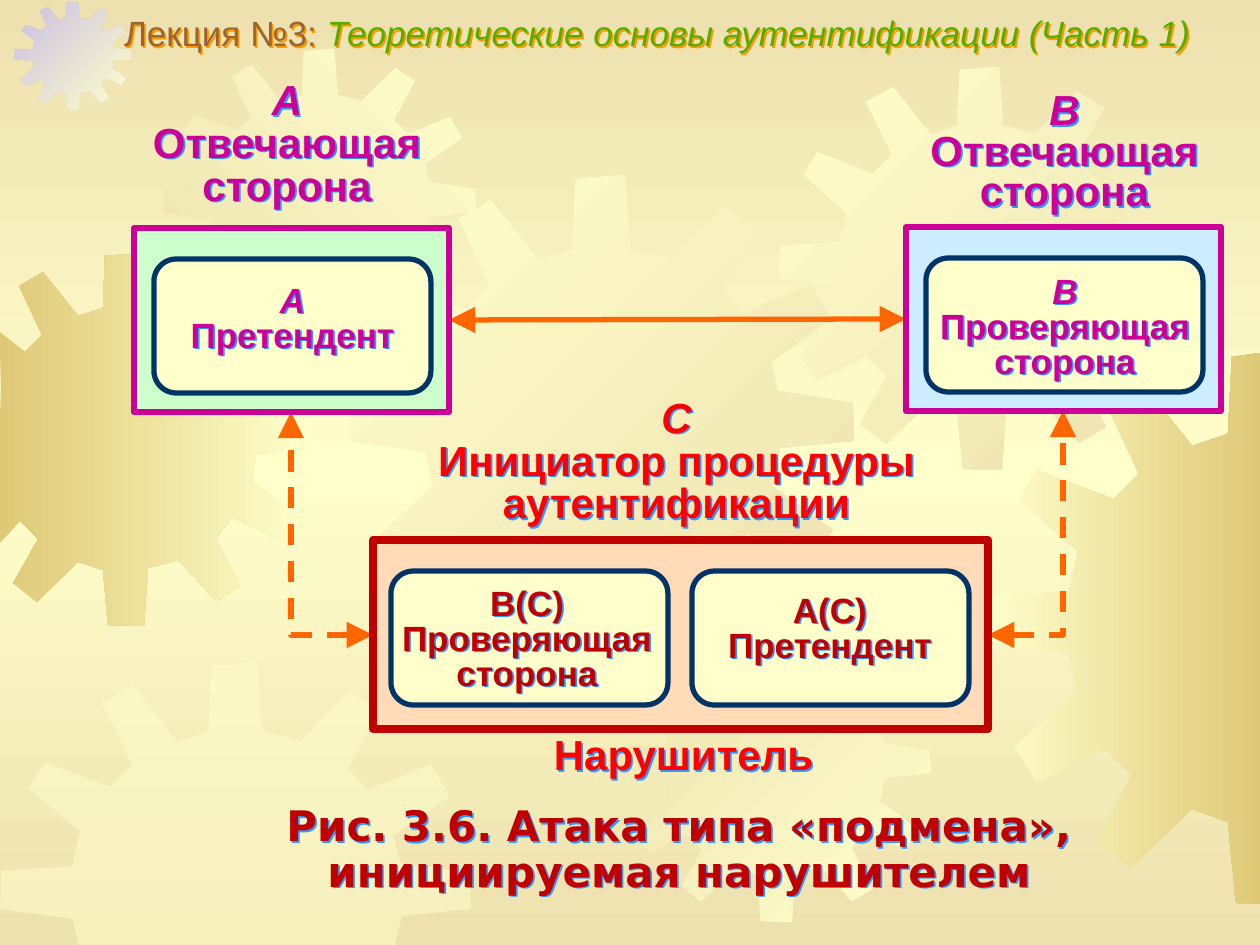
from copy import deepcopy

from lxml.etree import SubElement
from pptx import Presentation
from pptx.dml.color import RGBColor
from pptx.enum.dml import MSO_LINE
from pptx.enum.shapes import MSO_CONNECTOR, MSO_SHAPE
from pptx.enum.text import MSO_ANCHOR, MSO_AUTO_SIZE, PP_ALIGN
from pptx.oxml.ns import qn
from pptx.util import Emu, Pt

PX = 914400 / 126  # EMU in one px
WIDTH, HEIGHT = 1260, 945
COLORS = {
    "sand": "EDE1AF", "cream": "FFFFCC", "gold": "DFC977", "lilac": "CAC0E2",
    "magenta": "CC0099", "red": "FF0000", "crimson": "C00000", "navy": "003366",
    "orange": "FF6600", "mint": "CCFFCC", "sky": "CCECFF", "peach": "FFDBB7",
    "brown": "996633", "green": "56AC00", "blue shadow": "3399FF", "amber shadow": "FF9900",
}
RGB = {name: RGBColor.from_string(value) for name, value in COLORS.items()}


def px(*values):
    return [Emu(round(value * PX)) for value in values]


def write(box, paragraphs, spacing, anchor=MSO_ANCHOR.TOP, align=PP_ALIGN.CENTER,
          shadow="blue shadow"):
    """Fill a text box; each paragraph is a list of (text, font values)."""
    frame = box.text_frame
    settings = dict(word_wrap=True, auto_size=MSO_AUTO_SIZE.NONE, vertical_anchor=anchor,
                    margin_left=0, margin_top=0, margin_right=0, margin_bottom=0)
    for name, value in settings.items():
        setattr(frame, name, value)
    for number, spans in enumerate(paragraphs):
        para = frame.add_paragraph() if number else frame.paragraphs[0]
        para.alignment, para.line_spacing = align, spacing
        para.space_before = Pt(0)
        for text, values in spans:
            span = para.add_run()
            span.text = text
            for name, value in values.items():
                if name == "color":
                    span.font.color.rgb = RGB[value]
                else:
                    setattr(span.font, name, value)
    effects = SubElement(box.element.spPr, qn("a:effectLst"))
    outer = SubElement(effects, qn("a:outerShdw"), dist="17961", dir="2700000")
    SubElement(outer, qn("a:srgbClr"), val=COLORS[shadow])


deck = Presentation()
deck.slide_width, deck.slide_height = px(WIDTH, HEIGHT)
page = deck.slides.add_slide(deck.slide_layouts[5])

# Background: sand to cream and back, top to bottom
fill = page.background.fill
fill.gradient()
fill.gradient_angle = 270
stop_list = page.element.find(".//" + qn("a:gsLst"))
stop_list.append(deepcopy(stop_list[0]))
for stop, position, color in zip(fill.gradient_stops, (0, 0.5, 1), ("sand", "cream", "sand")):
    stop.position, stop.color.rgb = position, RGB[color]

# Gears: one outline on a 401 grid, scaled and held within the slide
GEAR_SIDE = 401
GEAR = [
    (255, 67), (223, 59), (219, 0), (180, 3), (177, 59), (151, 68), (113, 20), (87, 35),
    (112, 88), (94, 106), (38, 85), (25, 107), (68, 145), (61, 174), (1, 178), (0, 210),
    (61, 219), (67, 246), (22, 287), (38, 312), (88, 288), (107, 307), (81, 355), (106, 375),
    (151, 332), (177, 341), (183, 400), (222, 401), (226, 339), (259, 330), (299, 374),
    (325, 358), (299, 306), (316, 284), (368, 309), (384, 281), (336, 246), (342, 216),
    (401, 210), (400, 180), (341, 171), (335, 148), (383, 114), (367, 87), (313, 109),
    (296, 91), (323, 41), (297, 25),
]
gears = [  # left, top, width, height, first colour, last colour, clockwise angle
    (-62, 253, 373, 373, "gold", "cream", 0),
    (15, 2, 116, 108, "lilac", "cream", 45),
    (164, 49, 312, 312, "sand", "cream", 315),
    (349, 175, 505, 507, "cream", "sand", 45),
    (0, 662, 471, 471, "cream", None, 0),
    (619, 610, 312, 312, "sand", "cream", 45),
    (779, 67, 403, 403, "cream", "sand", 45),
    (985, 353, 551, 551, "cream", "gold", 0),
]
for left, top, width, height, first, last, angle in gears:
    points = [(min(max(round(left + x * width / GEAR_SIDE), 0), WIDTH),
               min(max(round(top + y * height / GEAR_SIDE), 0), HEIGHT)) for x, y in GEAR]
    builder = page.shapes.build_freeform(*points[0], scale=PX)
    builder.add_line_segments(points[1:], close=True)
    gear = builder.convert_to_shape()
    gear.shadow.inherit = False
    gear.line.fill.background()
    if last:
        gear.fill.gradient()
        gear.fill.gradient_angle = (360 - angle) % 360
        for stop, position, color in zip(gear.fill.gradient_stops, (0, 1), (first, last)):
            stop.position, stop.color.rgb = position, RGB[color]
    else:
        gear.fill.solid()
        gear.fill.fore_color.rgb = RGB[first]
        tint = gear.element.spPr.find(".//" + qn("a:srgbClr"))
        SubElement(tint, qn("a:alpha"), val="50000")

# Title, in front of the gears
title = page.shapes.title
title.element.getparent().append(title.element)
title.left, title.top, title.width, title.height = px(124, 16, 1136, 39)
heading = dict(name="Arial", size=Pt(20), bold=False)
write(title, [[("Лекция №3: ", dict(heading, color="brown")),
               ("Теоретические основы аутентификации (Часть 1)",
                dict(heading, color="green", italic=True))]],
      0.9, MSO_ANCHOR.MIDDLE, PP_ALIGN.LEFT, "amber shadow")

# Arrows between the parties
arrows = [  # from, to, bent and dashed
    (449, 320, 906, 319, False),
    (988, 635, 1063, 411, True),
    (373, 635, 291, 412, True),
]
for *ends, bent in arrows:
    arrow = page.shapes.add_connector(MSO_CONNECTOR.STRAIGHT, *px(*ends))
    arrow.line.color.rgb = RGB["orange"]
    arrow.line.width = Pt(3)
    if bent:
        arrow.element.spPr.find(qn("a:prstGeom")).set("prst", "bentConnector2")
        arrow.line.dash_style = MSO_LINE.DASH
    for end in ("a:headEnd", "a:tailEnd"):
        SubElement(arrow.line._get_or_add_ln(), qn(end), type="triangle", w="lg", len="lg")
    SubElement(arrow.element.spPr, qn("a:effectLst"))

# Party frames, then the role cards inside them
frames = [
    (MSO_SHAPE.RECTANGLE, 134, 228, 315, 184, "mint", "magenta", 3.25),
    (MSO_SHAPE.RECTANGLE, 906, 227, 315, 184, "sky", "magenta", 3.25),
    (MSO_SHAPE.RECTANGLE, 373, 540, 615, 189, "peach", "crimson", 4.5),
]
cards = [(MSO_SHAPE.ROUNDED_RECTANGLE, left, top, 277, 134, "cream", "navy", 3)
         for left, top in ((154, 259), (926, 258), (391, 571), (692, 571))]
for kind, left, top, width, height, inside, border, weight in frames + cards:
    panel = page.shapes.add_shape(kind, *px(left, top, width, height))
    panel.shadow.inherit = False
    panel.fill.solid()
    panel.fill.fore_color.rgb = RGB[inside]
    panel.line.color.rgb = RGB[border]
    panel.line.width = Pt(weight)

# Labels: place, size, colour, line spacing, anchor, italic letter, text
top_anchor, middle = MSO_ANCHOR.TOP, MSO_ANCHOR.MIDDLE
labels = [
    ((127, 81, 320, 130), 24, "magenta", 0.85, top_anchor, "А", "Отвечающая сторона"),
    ((906, 93, 317, 122), 24, "magenta", 0.8, middle, "В", "Отвечающая сторона"),
    ((433, 399, 487, 130), 24, "red", 0.85, top_anchor, "С",
     "Инициатор процедуры аутентификации"),
    ((440, 736, 487, 43), 24, "red", 0.85, top_anchor, None, "Нарушитель"),
    ((154, 285, 277, 71), 20, "magenta", Pt(20), top_anchor, "А", "Претендент"),
    ((930, 276, 270, 106), 20, "magenta", Pt(20), top_anchor, "В", "Проверяющая сторона"),
    ((397, 588, 260, 106), 20, "crimson", Pt(20), top_anchor, "В(С)", "Проверяющая сторона"),
    ((697, 595, 266, 71), 20, "crimson", Pt(20), top_anchor, "А(С)", "Претендент"),
]
for place, size, color, spacing, anchor, letter, text in labels:
    box = page.shapes.add_textbox(*px(*place))
    look = dict(name="Arial", size=Pt(size), bold=True, color=color)
    paragraphs = [[(text, look)]]
    if letter:
        paragraphs.insert(0, [(letter, dict(look, italic=len(letter) == 1))])
    write(box, paragraphs, spacing, anchor)

# Figure caption
caption = page.shapes.add_textbox(*px(127, 804, 1104, 92))
write(caption, [[("Рис. 3.6. Атака типа «подмена», инициируемая нарушителем",
                  dict(name="DejaVu Sans", size=Pt(24), bold=True, color="crimson"))]],
      Pt(26), MSO_ANCHOR.MIDDLE)

deck.save("out.pptx")
